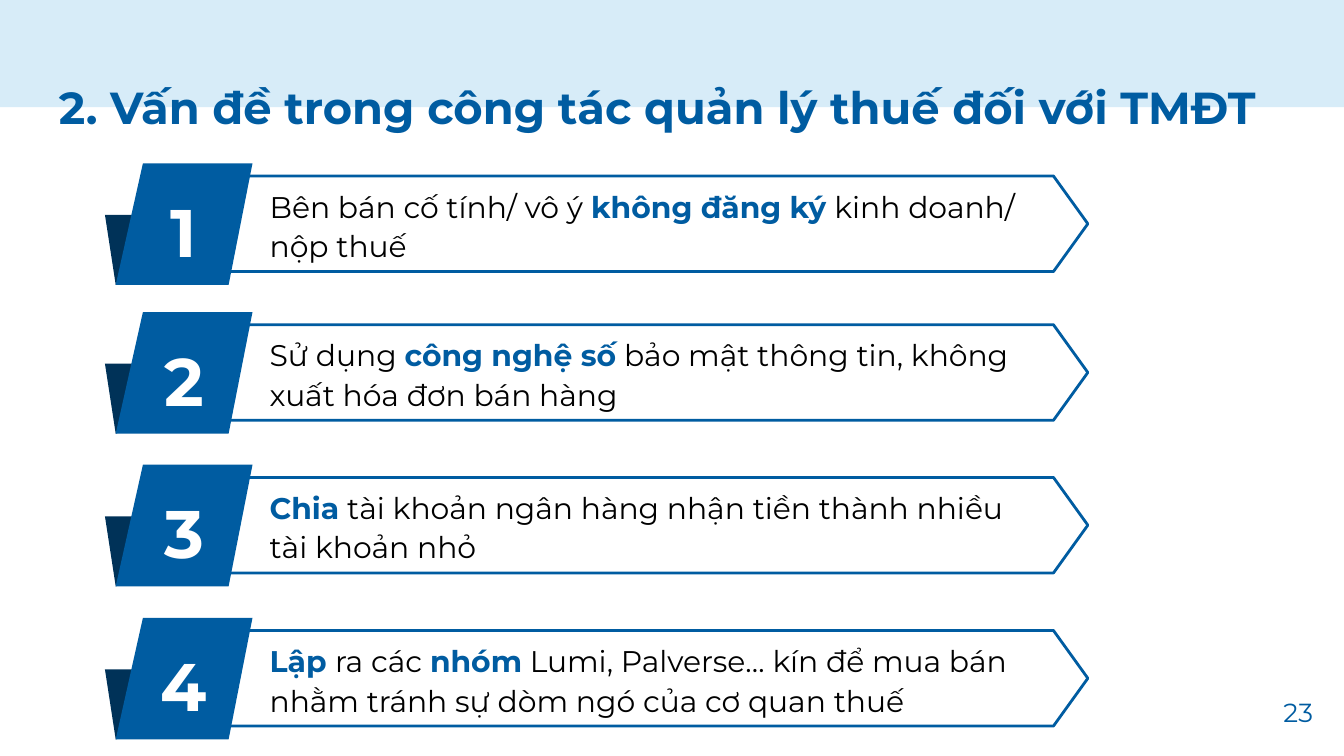
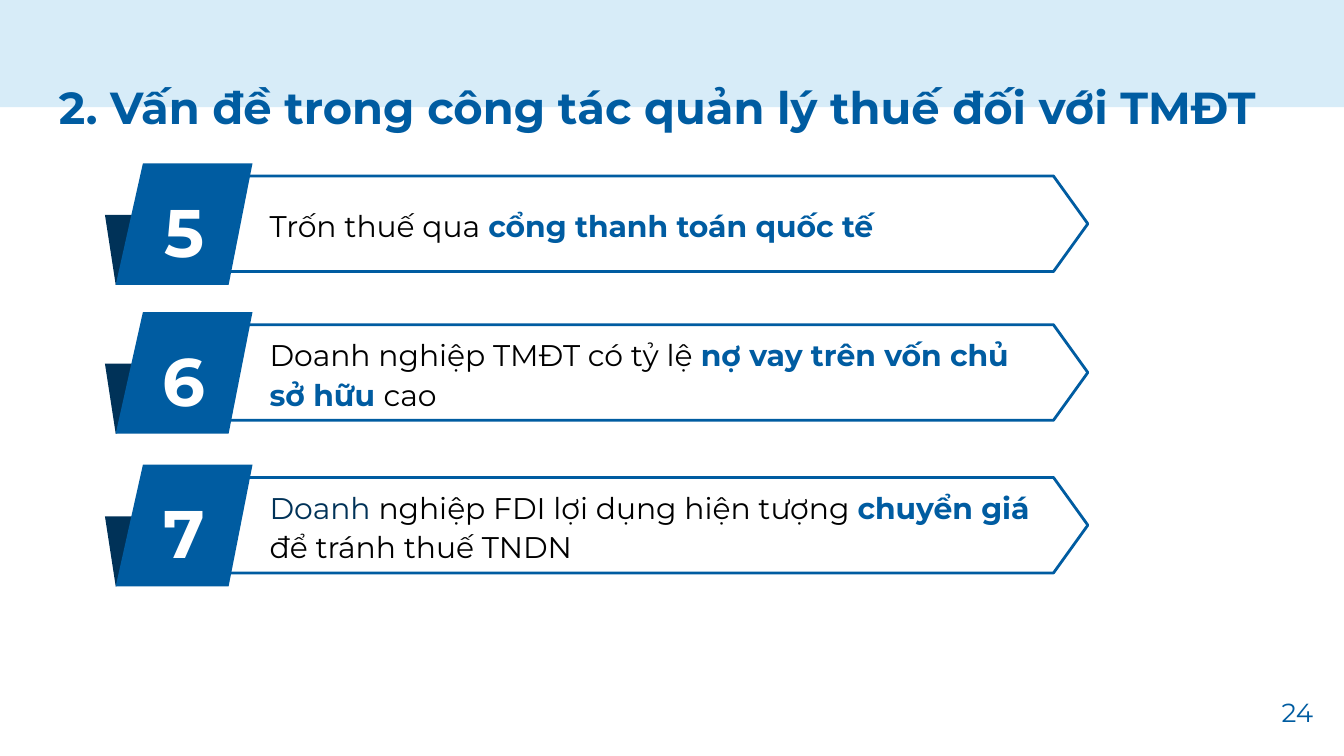
from pptx import Presentation
from pptx.dml.color import RGBColor
from pptx.enum.shapes import MSO_SHAPE as Shape
from pptx.enum.text import MSO_ANCHOR as Anchor, MSO_AUTO_SIZE as AutoSize, PP_ALIGN as Align
from pptx.util import Pt

BLUE = RGBColor(0x00, 0x5C, 0xA1)
NAVY = RGBColor(0x00, 0x32, 0x58)
PALE = RGBColor(0xD7, 0xEC, 0xF8)
BLACK = RGBColor(0x00, 0x00, 0x00)
WHITE = RGBColor(0xFF, 0xFF, 0xFF)

PLAIN = {"color": BLACK, "size": Pt(16), "bold": False}
KEY = {"color": BLUE, "size": Pt(16), "bold": True}
DARK = {"color": NAVY, "size": Pt(16), "bold": False}
TITLE_STYLE = {"color": BLUE, "size": Pt(24), "bold": True}
NUMBER_STYLE = {"color": WHITE, "size": Pt(36), "bold": True}
PAGE_STYLE = {"color": BLUE, "size": Pt(14), "bold": False}

TITLE = "2. Vấn đề trong công tác quản lý thuế đối với TMĐT"
FIRST_PAGE = 23
PAGES = [
    [
        [("Bên bán cố tính/ vô ý ", PLAIN), ("không đăng ký", KEY),
         (" kinh doanh/ nộp thuế", PLAIN)],
        [("Sử dụng ", PLAIN), ("công nghệ số", KEY),
         (" bảo mật thông tin, không xuất hóa đơn bán hàng", PLAIN)],
        [("Chia", KEY),
         (" tài khoản ngân hàng nhận tiền thành nhiều tài khoản nhỏ", PLAIN)],
        [("Lập ", KEY), ("ra các ", PLAIN), ("nhóm", KEY),
         (" Lumi, Palverse… kín để mua bán nhằm tránh sự dòm ngó của cơ quan thuế", PLAIN)],
    ],
    [
        [("Trốn thuế qua ", PLAIN), ("cổng thanh toán quốc tế", KEY)],
        [("Doanh nghiệp TMĐT có tỷ lệ ", PLAIN),
         ("nợ vay trên vốn chủ sở hữu ", KEY), ("cao", PLAIN)],
        [("Doanh ", DARK), ("nghiệp FDI lợi dụng hiện tượng ", PLAIN),
         ("chuyển giá", KEY), (" để tránh thuế TNDN", PLAIN)],
    ],
]

ROW_TOPS = (87.5, 167.2, 249, 331)
FOLD = [(56.2, 27.6), (62, 65.2), (86, 56.2), (86, 27.6)]
ARROW = [(104.4, 6.8), (86, 32.4), (104.4, 58), (564.4, 58), (582.8, 32.4), (564.4, 6.8)]
BADGE = [(76.6, 0), (62, 65.2), (122.5, 65.2), (135.3, 0)]


def add_outline(slide, corners, top, fill=None, line=None):
    points = [(Pt(x), Pt(top + y)) for x, y in corners]
    builder = slide.shapes.build_freeform(*points[0])
    builder.add_line_segments(points[1:], close=True)
    outline = builder.convert_to_shape()
    outline.shadow.inherit = False
    if fill is None:
        outline.fill.background()
    else:
        outline.fill.solid()
        outline.fill.fore_color.rgb = fill
    if line is None:
        outline.line.fill.background()
    else:
        outline.line.color.rgb = line
        outline.line.width = Pt(1.5)


def add_text(slide, place, runs, frame_format=None, paragraph_format=None, inset=7.2):
    frame = slide.shapes.add_textbox(*map(Pt, place)).text_frame
    frame_values = {
        "word_wrap": True, "auto_size": AutoSize.NONE,
        "margin_left": Pt(7.2), "margin_right": Pt(7.2),
        "margin_top": Pt(inset), "margin_bottom": Pt(inset),
        **(frame_format or {}),
    }
    for name, value in frame_values.items():
        setattr(frame, name, value)
    paragraph = frame.paragraphs[0]
    for name, value in (paragraph_format or {}).items():
        setattr(paragraph, name, value)
    for words, style in runs:
        run = paragraph.add_run()
        run.text = words
        run.font.name = "Montserrat"
        run.font.color.rgb = style["color"]
        for name in ("size", "bold"):
            setattr(run.font, name, style[name])


def add_problem(slide, top, number, runs):
    add_outline(slide, FOLD, top, fill=NAVY)
    add_outline(slide, ARROW, top, line=BLUE)
    add_outline(slide, BADGE, top, fill=BLUE)
    add_text(slide, (137.4, top + 7.4, 424.8, 50.4), runs,
             {"vertical_anchor": Anchor.MIDDLE}, {"line_spacing": 1.1})
    add_text(slide, (71.2, top + 10.8, 54.8, 51), [(str(number), NUMBER_STYLE)],
             {"auto_size": AutoSize.SHAPE_TO_FIT_TEXT}, {"alignment": Align.CENTER}, inset=3.6)


def add_page(deck, page_number):
    slide = deck.slides.add_slide(deck.slide_layouts[6])
    band = slide.shapes.add_shape(Shape.RECTANGLE, 0, 0, deck.slide_width, Pt(57.4))
    band.shadow.inherit = False
    band.fill.solid()
    band.fill.fore_color.rgb = PALE
    band.line.fill.background()
    add_text(slide, (24.5, 35.4, 671, 50.4), [(TITLE, TITLE_STYLE)])
    add_text(slide, (667.4, 367, 43.2, 31), [(str(page_number), PAGE_STYLE)],
             {"vertical_anchor": Anchor.MIDDLE},
             {"alignment": Align.RIGHT, "line_spacing": 0.9})
    return slide


def main():
    deck = Presentation()
    deck.slide_width, deck.slide_height = Pt(720), Pt(405)
    number = 1
    for page_number, problems in enumerate(PAGES, FIRST_PAGE):
        slide = add_page(deck, page_number)
        for number, (top, runs) in enumerate(zip(ROW_TOPS, problems), number):
            add_problem(slide, top, number, runs)
        number += 1
    deck.save("out.pptx")


if __name__ == "__main__":
    main()
